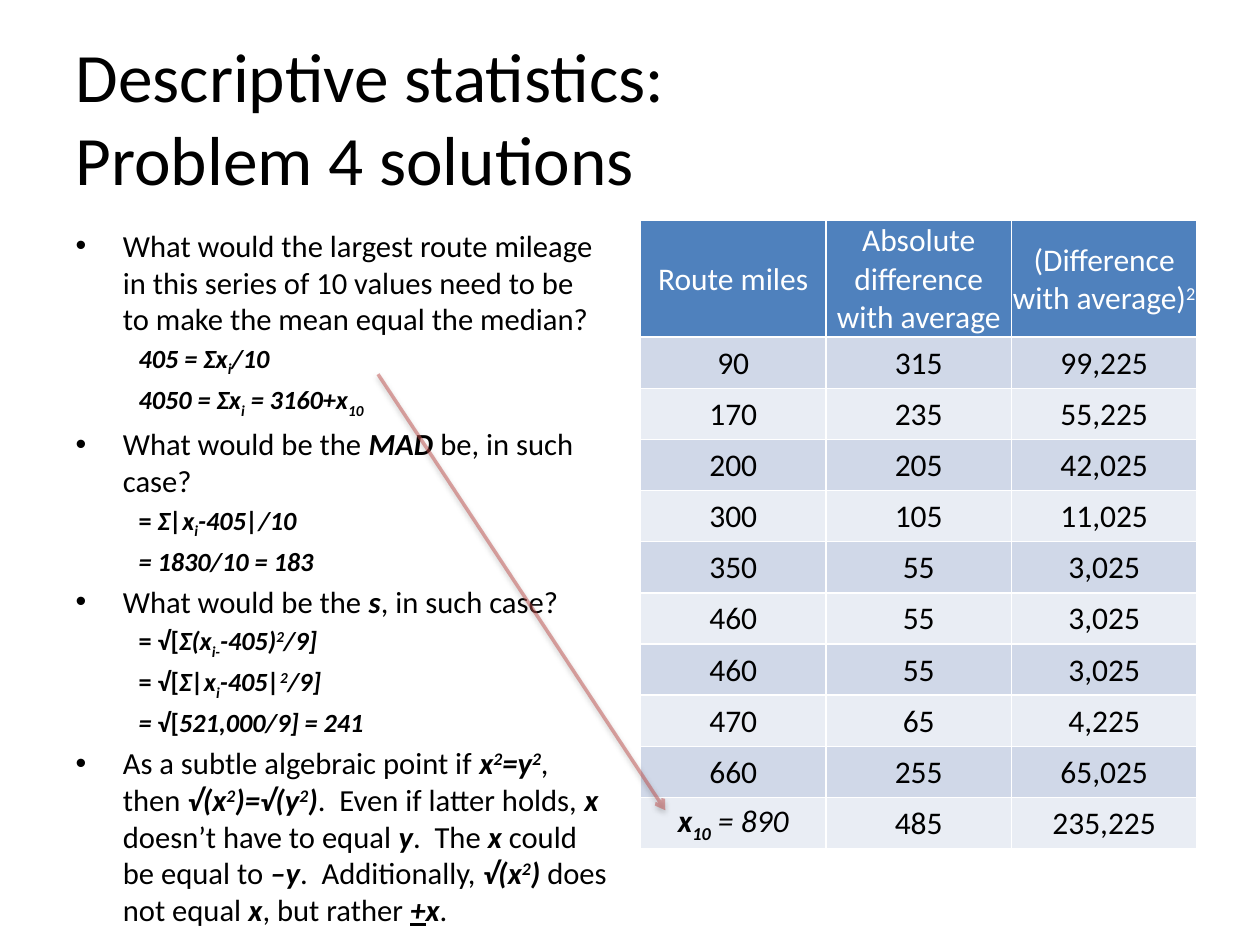
"""Build the slide with the solutions to descriptive statistics problem 4."""
from lxml.etree import SubElement
from pptx import Presentation
from pptx.dml.color import RGBColor
from pptx.enum.shapes import MSO_CONNECTOR
from pptx.enum.text import MSO_ANCHOR, MSO_AUTO_SIZE, PP_ALIGN
from pptx.oxml import parse_xml
from pptx.oxml.ns import nsdecls, qn
from pptx.util import Pt

rgb = RGBColor.from_string


def add_runs(p, runs, size, color="000000"):
    """Add (text, flags) runs: b bold, i italic, u underline, _ subscript, ^ superscript."""
    for text, flags in runs:
        r = p.add_run()
        r.text = text
        f = r.font
        f.name, f.size, f.color.rgb = "Calibri", Pt(size), rgb(color)
        f.bold, f.italic = "b" in flags, "i" in flags
        if "u" in flags:
            f.underline = True
        if "_" in flags:
            r._r.get_or_add_rPr().set("baseline", "-25000")
        if "^" in flags:
            r._r.get_or_add_rPr().set("baseline", "30000")


prs = Presentation()
prs.slide_width, prs.slide_height = Pt(720), Pt(540)
s = prs.slides.add_slide(prs.slide_layouts[1])

title = s.shapes.title
title.left, title.top, title.width, title.height = Pt(36), Pt(21.6), Pt(648), Pt(90)
tf = title.text_frame
tf.auto_size = MSO_AUTO_SIZE.NONE
tf.vertical_anchor = MSO_ANCHOR.MIDDLE
p = tf.paragraphs[0]
p.alignment = PP_ALIGN.LEFT
add_runs(p, [("Descriptive statistics:", "")], 39.6)
p.add_line_break()
add_runs(p, [("Problem 4 solutions", "")], 39.6)

SOLUTIONS = [
    (0, [("What would the largest route mileage in this series of 10 values need to be "
          "to make the mean equal the median?", "")]),
    (1, [("405 = Σx", "bi"), ("i", "bi_"), ("/10", "bi")]),
    (1, [("4050 = Σx", "bi"), ("i", "bi_"), (" = 3160+x", "bi"), ("10", "bi_")]),
    (0, [("What would be the ", ""), ("MAD", "bi"), (" be, in such case?", "")]),
    (1, [("= ", "b"), ("Σ|x", "bi"), ("i", "bi_"), ("-405|/10", "bi")]),
    (1, [("= 1830/10 = 183", "bi")]),
    (0, [("What would be the ", ""), ("s", "bi"), (", in such case?", "")]),
    (1, [("= √[", "b"), ("Σ(x", "bi"), ("i-", "bi_"), ("-405)", "bi"), ("2", "bi^"),
         ("/9]", "bi")]),
    (1, [("= √[", "b"), ("Σ|x", "bi"), ("i", "bi_"), ("-405|", "bi"), ("2", "bi^"),
         ("/9]", "bi")]),
    (1, [("= ", "bi"), ("√[", "b"), ("521,000/9] = 241", "bi")]),
    (0, [("As a subtle algebraic point if ", ""), ("x", "bi"), ("2", "bi^"), ("=y", "bi"),
         ("2", "bi^"), (", then ", ""), ("√(x", "bi"), ("2", "bi^"), (")=√(y", "bi"),
         ("2", "bi^"), (")", "bi"), (".  Even if latter holds, ", ""), ("x", "bi"),
         (" doesn’t have to equal ", ""), ("y", "bi"), (".  The ", ""), ("x", "bi"),
         (" could be equal to ", ""), ("–y", "bi"), (".  Additionally, ", ""), ("√(x", "bi"),
         ("2", "bi^"), (")", "bi"), (" does not equal ", ""), ("x", "bi"),
         (", but rather ", ""), ("+", "biu"), ("x", "bi"), (".", "")]),
]
body = s.placeholders[1]
body.left, body.top, body.width, body.height = Pt(36), Pt(126), Pt(318), Pt(356.4)
tf = body.text_frame
tf.auto_size = MSO_AUTO_SIZE.NONE
for n, (level, runs) in enumerate(SOLUTIONS):
    p = tf.add_paragraph() if n else tf.paragraphs[0]
    p.level = level
    margin, indent, size = [(27, -27, 17.5), (58.5, -22.5, 15)][level]
    pPr = p._p.get_or_add_pPr()
    pPr.set("marL", str(Pt(margin)))
    pPr.set("indent", str(Pt(indent)))
    if level:
        SubElement(pPr, qn("a:buNone"))
    else:
        SubElement(pPr, qn("a:buChar"), char="•")
    if n == 0:
        p.space_before = Pt(0)
    add_runs(p, runs, size)

MEAN = 405
MILES = [90, 170, 200, 300, 350, 460, 460, 470, 660, 890]
rows = [[[("Route miles", "")], [("Absolute difference with average", "")],
         [("(Difference with average)", ""), ("2", "^")]]]
for miles in MILES:
    gap = abs(miles - MEAN)
    rows.append([[(str(miles), "")], [(str(gap), "")], [(f"{gap ** 2:,}", "")]])
rows[-1][0] = [("x", "bi"), ("10", "bi_"), (" = 890", "i")]

table = s.shapes.add_table(len(rows), 3, Pt(366), Pt(126), Pt(318), Pt(321.75)).table
for i, row in enumerate(rows):
    table.rows[i].height = Pt(29.25)
    fill = "4F81BD" if i == 0 else "D0D8E8" if i % 2 else "E9EDF4"
    for j, runs in enumerate(row):
        cell = table.cell(i, j)
        cell.fill.solid()
        cell.fill.fore_color.rgb = rgb(fill)
        cell.vertical_anchor = MSO_ANCHOR.MIDDLE
        cell.margin_left = cell.margin_right = cell.margin_top = Pt(0.75)
        cell.margin_bottom = Pt(0)
        p = cell.text_frame.paragraphs[0]
        p.alignment = PP_ALIGN.CENTER
        add_runs(p, runs, 18, "000000" if i else "FFFFFF")

arrow = s.shapes.add_connector(MSO_CONNECTOR.STRAIGHT, Pt(216), Pt(213.84), Pt(380.16), Pt(463))
arrow.line.width = Pt(2)
arrow.line.color.rgb = rgb("C0504D")
ln = arrow.line._ln
SubElement(ln.find(".//" + qn("a:srgbClr")), qn("a:alpha"), val="50000")
SubElement(ln, qn("a:tailEnd"), type="arrow")
arrow._element.spPr.append(parse_xml(
    f'<a:effectLst {nsdecls("a")}><a:outerShdw blurRad="{Pt(3.1)}" dist="{Pt(1.6)}" '
    'dir="5400000" rotWithShape="0"><a:srgbClr val="000000"><a:alpha val="38000"/>'
    '</a:srgbClr></a:outerShdw></a:effectLst>'))

prs.save("out.pptx")
